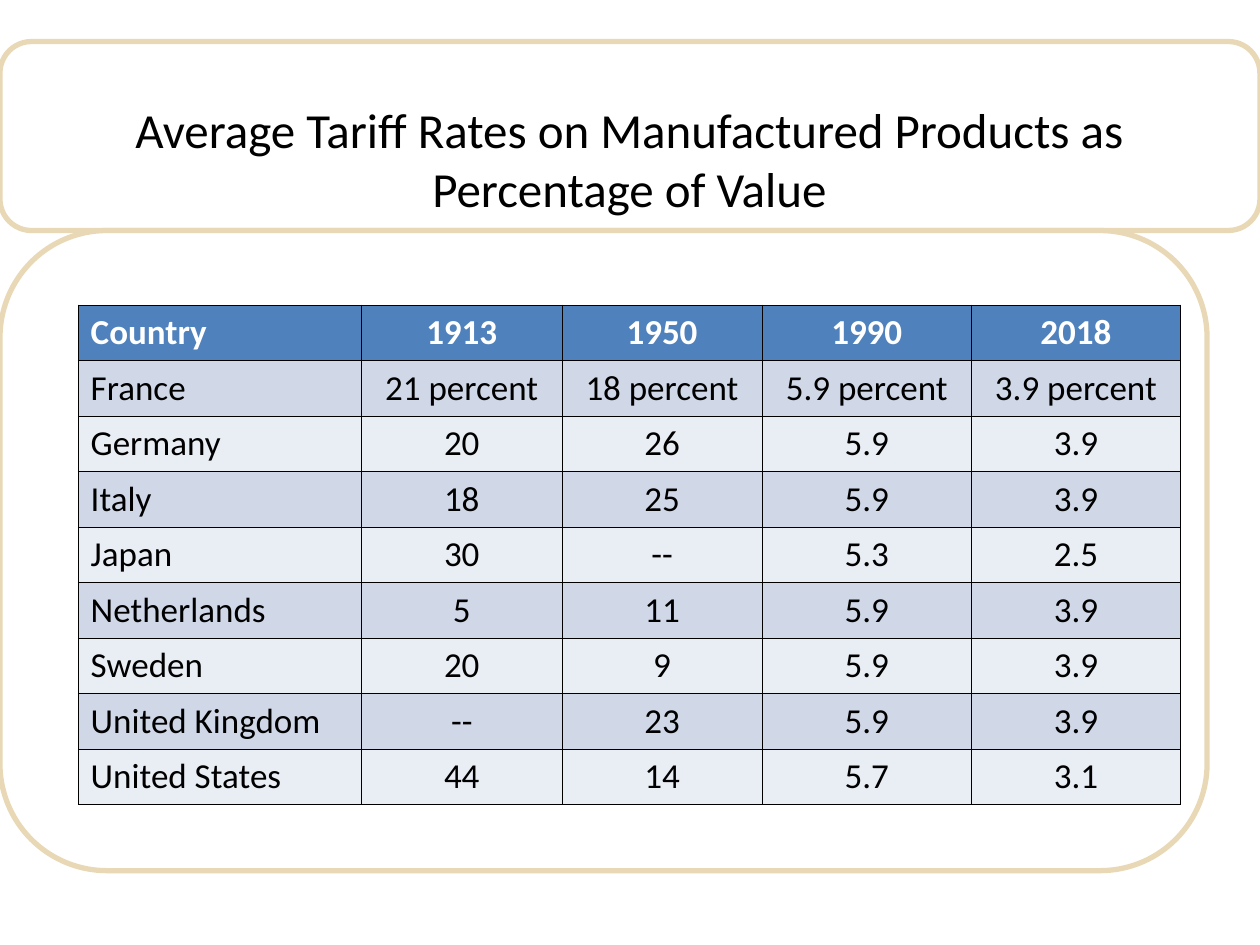
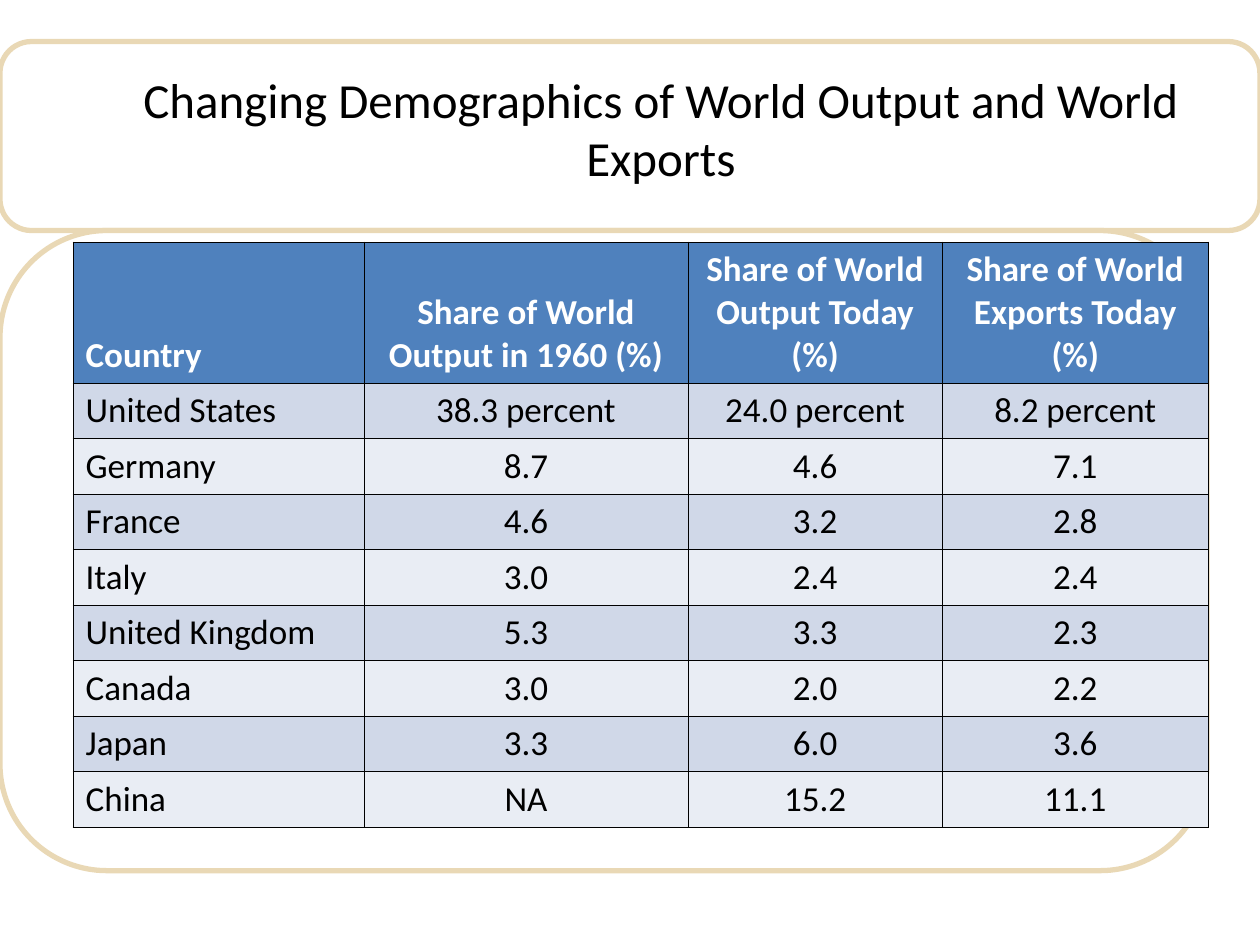
from lxml.etree import SubElement
from pptx import Presentation
from pptx.dml.color import RGBColor
from pptx.enum.shapes import MSO_SHAPE
from pptx.enum.text import MSO_ANCHOR, MSO_AUTO_SIZE, PP_ALIGN
from pptx.oxml.ns import qn
from pptx.util import Inches, Pt

FONT_NAME = "Calibri"
BLACK = RGBColor(0x00, 0x00, 0x00)
WHITE = RGBColor(0xFF, 0xFF, 0xFF)
SAND = RGBColor(0xE9, 0xD8, 0xB5)
HEADER_BLUE = RGBColor(0x4F, 0x81, 0xBD)
ROW_COLOURS = (RGBColor(0xD0, 0xD8, 0xE8), RGBColor(0xE9, 0xED, 0xF4))

FRAMES = ((0, 0.33, 10, 1.5), (0, 1.83, 9.58, 5.08))
ROW_HEIGHT = 0.43
BORDER_WIDTH = Pt(0.45)

TARIFF_ROWS = (
    ("Country", "1913", "1950", "1990", "2018"),
    ("France", "21 percent", "18 percent", "5.9 percent", "3.9 percent"),
    ("Germany", "20", "26", "5.9", "3.9"),
    ("Italy", "18", "25", "5.9", "3.9"),
    ("Japan", "30", "--", "5.3", "2.5"),
    ("Netherlands", "5", "11", "5.9", "3.9"),
    ("Sweden", "20", "9", "5.9", "3.9"),
    ("United Kingdom", "--", "23", "5.9", "3.9"),
    ("United States", "44", "14", "5.7", "3.1"),
)

OUTPUT_ROWS = (
    ("Country", "Share of World Output in 1960 (%)",
     "Share of World Output Today (%)", "Share of World Exports Today (%)"),
    ("United States", "38.3 percent", "24.0 percent", "8.2 percent"),
    ("Germany", "8.7", "4.6", "7.1"),
    ("France", "4.6", "3.2", "2.8"),
    ("Italy", "3.0", "2.4", "2.4"),
    ("United Kingdom", "5.3", "3.3", "2.3"),
    ("Canada", "3.0", "2.0", "2.2"),
    ("Japan", "3.3", "6.0", "3.6"),
    ("China", "NA", "15.2", "11.1"),
)


def format_paragraph(paragraph, size, colour, alignment, bold=False):
    paragraph.alignment = alignment
    for run in paragraph.runs:
        run.font.name = FONT_NAME
        run.font.size = Pt(size)
        run.font.bold = bold
        run.font.color.rgb = colour


def add_frames(slide):
    for depth, box in enumerate(FRAMES):
        frame = slide.shapes.add_shape(
            MSO_SHAPE.ROUNDED_RECTANGLE, *map(Inches, box))
        frame.adjustments[0] = 0.167
        frame.shadow.inherit = False
        frame.fill.solid()
        frame.fill.fore_color.rgb = WHITE
        frame.line.color.rgb = SAND
        frame.line.width = Pt(3)
        slide.shapes._spTree.insert(2 + depth, frame._element)


def set_title(slide, text, box):
    title = slide.shapes.title
    title.left, title.top, title.width, title.height = map(Inches, box)
    text_frame = title.text_frame
    text_frame.text = text
    text_frame.word_wrap = True
    text_frame.auto_size = MSO_AUTO_SIZE.NONE
    text_frame.vertical_anchor = MSO_ANCHOR.MIDDLE
    format_paragraph(text_frame.paragraphs[0], 28, BLACK, PP_ALIGN.CENTER)


def set_borders(cell):
    properties = cell._tc.get_or_add_tcPr()
    for index, side in enumerate(("lnL", "lnR", "lnT", "lnB")):
        border = properties.makeelement(qn(f"a:{side}"), w=str(BORDER_WIDTH))
        fill = SubElement(border, qn("a:solidFill"))
        SubElement(fill, qn("a:srgbClr"), val=str(BLACK))
        properties.insert(index, border)


def fill_cell(cell, text, row_index, column_index, header_anchor):
    is_header = row_index == 0
    cell.text_frame.text = text
    cell.vertical_anchor = header_anchor if is_header else MSO_ANCHOR.TOP
    cell.fill.solid()
    cell.fill.fore_color.rgb = (
        HEADER_BLUE if is_header else ROW_COLOURS[(row_index - 1) % 2])
    alignment = PP_ALIGN.LEFT if column_index == 0 else PP_ALIGN.CENTER
    format_paragraph(cell.text_frame.paragraphs[0], 20,
                     WHITE if is_header else BLACK, alignment, is_header)
    set_borders(cell)


def add_data_table(slide, rows, left, top, column_widths,
                   header_height=ROW_HEIGHT, header_anchor=MSO_ANCHOR.TOP):
    row_heights = [header_height] + [ROW_HEIGHT] * (len(rows) - 1)
    table = slide.shapes.add_table(
        len(rows), len(column_widths), Inches(left), Inches(top),
        Inches(sum(column_widths)), Inches(sum(row_heights))).table
    for column, width in zip(table.columns, column_widths):
        column.width = Inches(width)
    for row_index, values in enumerate(rows):
        table.rows[row_index].height = Inches(row_heights[row_index])
        for column_index, text in enumerate(values):
            fill_cell(table.cell(row_index, column_index), text,
                      row_index, column_index, header_anchor)


def add_framed_slide(presentation, title, title_box):
    slide = presentation.slides.add_slide(presentation.slide_layouts[5])
    add_frames(slide)
    set_title(slide, title, title_box)
    return slide


def main():
    presentation = Presentation()
    presentation.slide_width = Inches(10)
    presentation.slide_height = Inches(7.5)

    tariff_slide = add_framed_slide(
        presentation,
        "Average Tariff Rates on Manufactured Products as Percentage of Value",
        (0.37, 0.71, 9.25, 1.09))
    add_data_table(tariff_slide, TARIFF_ROWS, 0.62, 2.42,
                   (2.25, 1.59, 1.59, 1.66, 1.66))

    output_slide = add_framed_slide(
        presentation,
        "Changing Demographics of World Output and World Exports",
        (0.49, 0.47, 9.51, 1.09))
    add_data_table(output_slide, OUTPUT_ROWS, 0.58, 1.92,
                   (2.31, 2.57, 2.02, 2.11), 1.1, MSO_ANCHOR.BOTTOM)

    presentation.save("out.pptx")


if __name__ == "__main__":
    main()
